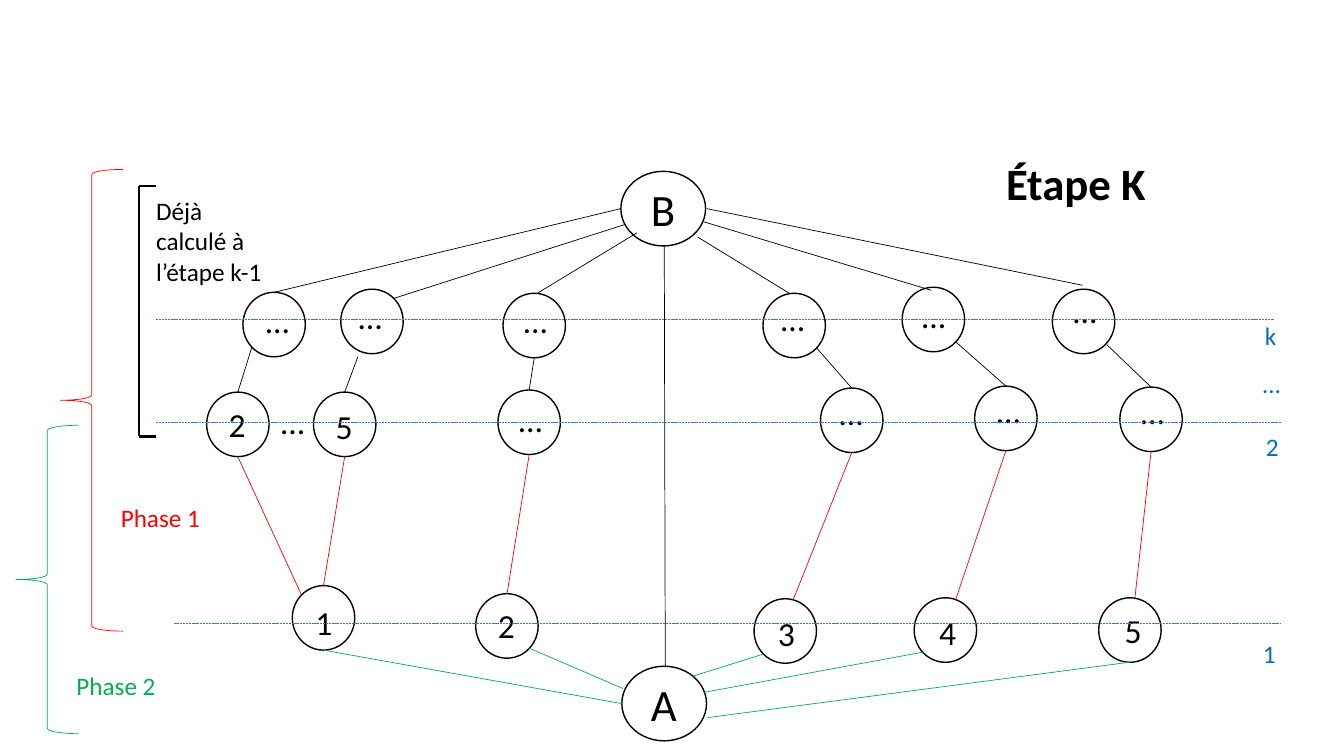
import pptx
import pptx.util
import pptx.dml.color
import pptx.enum.dml
import pptx.enum.shapes
import pptx.enum.text
import pptx.oxml.ns
import lxml.etree

Pt = pptx.util.Pt
SHAPE = pptx.enum.shapes.MSO_SHAPE
BLACK, RED, GREEN = "000000", "FF0000", "00B050"
LEVEL_LINE, LEVEL_TEXT = "4472C4", "0070C0"
NODE_SIZE = (44.6, 46.1)
HUB_SIZE = (60.5, 53.3)

TITLE = ("Étape K", 711.4, 107.3, 240, 46.1)

HUBS = [
    ("A", (444.2, 475.9), (457.9, 479.5)),
    ("B", (443.5, 122.4), (457.9, 126)),
]
HUB_LINK = ((475.2, 475.9), (474.5, 175.7))

UPPER_NODES = [
    ("…", (173.5, 208.8), (182.9, 211)),
    ("…", (243.4, 206.6), (249.1, 208.1)),
    ("…", (359.3, 209.5), (367.2, 211)),
    ("…", (545, 209.5), (550.8, 209.5)),
    ("…", (644.4, 205.2), (651.6, 207.4)),
    ("…", (751.7, 206.6), (759.6, 203.8)),
]
MIDDLE_NODES = [
    ("2", (147.6, 280.1), (156.2, 285.1)),
    ("5", (223.9, 280.1), (232.6, 286.6)),
    ("…", (355.7, 278.6), (363.6, 281.5)),
    ("…", (586.1, 277.2), (592.6, 276.5)),
    ("…", (696.2, 275.8), (704.9, 275)),
    ("…", (799.9, 276.5), (807.8, 275.8)),
]
BASE_NODES = [
    ("1", (208.8, 418.3), (218.2, 426.2)),
    ("2", (339.8, 424.1), (348.5, 428.4)),
    ("3", (538.6, 427.7), (548.6, 434.2)),
    ("4", (653, 427), (663.8, 433.4)),
    ("5", (784.8, 427), (796.3, 432)),
]
MIDDLE_GAP = ("…", (193.7, 283))

LINKS_TO_B = [
    ((195.8, 208.8), (443.5, 149)),
    ((281.5, 213.1), (445.7, 160.6)),
    ((383.8, 209.5), (455, 166.3)),
    ((563.8, 209.5), (498.2, 169.2)),
    ((665.3, 207.4), (502.6, 158.4)),
    ((773.3, 203.8), (504.7, 149)),
]
MIDDLE_TO_UPPER = [(180, 247.7), (255.6, 254.9), (381.6, 255.6),
                   (583.2, 248.4), (682.6, 244.1), (790.6, 246.2)]
MIDDLE_TO_BASE = [(215.3, 424.8), (231.1, 418.3), (362.2, 424.1),
                  (566.6, 428.4), (682.6, 428.4), (810.7, 427)]
LINKS_TO_A = [
    ((445, 491.8), (378, 463)),
    ((444.2, 502.6), (231.1, 464.4)),
    ((494.6, 483.1), (545, 467.3)),
    ((502.6, 494.6), (659.5, 465.8)),
    ((505.4, 512.6), (807.1, 473)),
]

LEVELS = [(124.6, 915.1, 445), (111.6, 915.1, 301.7), (111.6, 910.1, 228.2)]
LEVEL_LABELS = [("1", 895, 452.2), ("2", 897.1, 304.6),
                ("k", 896.4, 225.4), ("…", 895, 259.2)]
BRACKET = [(111.6, 133.2), (99.4, 133.2), (99.4, 311.8), (111.6, 311.8)]
BRACES = [(43.2, 121, 44.6, 329.8, RED), (11.5, 303.8, 44.6, 220.3, GREEN)]
NOTES = [
    ("Déjà calculé à l’étape k-1", 104.4, 136.1, 99.4, 72.7, BLACK),
    ("Phase 1", 79.2, 355, 79.2, 29, RED),
    ("Phase 2", 47.5, 475.2, 79.2, 29, GREEN),
]

deck = pptx.Presentation()
deck.slide_width, deck.slide_height = Pt(960), Pt(540)
slide = deck.slides.add_slide(deck.slide_layouts[5])


def color(value):
    return pptx.dml.color.RGBColor.from_string(value)


def write(holder, text, size, ink, bold=False):
    frame = holder.text_frame
    frame.text = text
    frame.word_wrap = True
    frame.vertical_anchor = pptx.enum.text.MSO_ANCHOR.TOP
    paragraph = frame.paragraphs[0]
    paragraph.alignment = pptx.enum.text.PP_ALIGN.LEFT
    font = paragraph.runs[0].font
    font.name, font.size, font.bold = "Calibri", Pt(size), bold
    font.color.rgb = color(ink)


def label(text, x, y, width, height, size, ink=BLACK):
    write(slide.shapes.add_textbox(Pt(x), Pt(y), Pt(width), Pt(height)), text, size, ink)


def node_label(text, corner):
    label(text, *corner, 27.4 if text == "…" else 51.1, 36, 24)


def outline(kind, x, y, width, height, ink, weight):
    shape = slide.shapes.add_shape(kind, Pt(x), Pt(y), Pt(width), Pt(height))
    shape.shadow.inherit = False
    shape.fill.background()
    shape.line.color.rgb = color(ink)
    shape.line.width = Pt(weight)


def link(start, end, ink=BLACK, weight=0.5, dashed=False):
    connector = slide.shapes.add_connector(
        pptx.enum.shapes.MSO_CONNECTOR.STRAIGHT, *map(Pt, start + end))
    connector.line.color.rgb = color(ink)
    connector.line.width = Pt(weight)
    if dashed:
        connector.line.dash_style = pptx.enum.dml.MSO_LINE.SQUARE_DOT
    lxml.etree.SubElement(connector._element.spPr, pptx.oxml.ns.qn("a:effectLst"))


title = slide.shapes.title
title.left, title.top, title.width, title.height = map(Pt, TITLE[1:])
write(title, TITLE[0], 32, BLACK, bold=True)

for name, corner, text_corner in HUBS:
    outline(SHAPE.OVAL, *corner, *HUB_SIZE, BLACK, 1)
    label(name, *text_corner, 51.1, 46.1, 32)
link(*HUB_LINK)

for name, corner, text_corner in UPPER_NODES + MIDDLE_NODES + BASE_NODES:
    outline(SHAPE.OVAL, *corner, *NODE_SIZE, BLACK, 1)
    node_label(name, text_corner)
node_label(*MIDDLE_GAP)

for start, end in LINKS_TO_B:
    link(start, end)
for (name, (x, y), text_corner), upper, base in zip(MIDDLE_NODES, MIDDLE_TO_UPPER, MIDDLE_TO_BASE):
    center = x + NODE_SIZE[0] / 2
    link((center, y), upper)
    link((center, y + NODE_SIZE[1]), base, RED)
for start, end in LINKS_TO_A:
    link(start, end, GREEN)

for left, right, y in LEVELS:
    link((left, y), (right, y), LEVEL_LINE, dashed=True)
for text, x, y in LEVEL_LABELS:
    label(text, x, y, 25.9, 29, 18, LEVEL_TEXT)

for start, end in zip(BRACKET, BRACKET[1:]):
    link(start, end, weight=1.5)
for x, y, width, height, ink in BRACES:
    outline(SHAPE.LEFT_BRACE, x, y, width, height, ink, 0.5)
for text, x, y, width, height, ink in NOTES:
    label(text, x, y, width, height, 18, ink)

deck.save("out.pptx")
